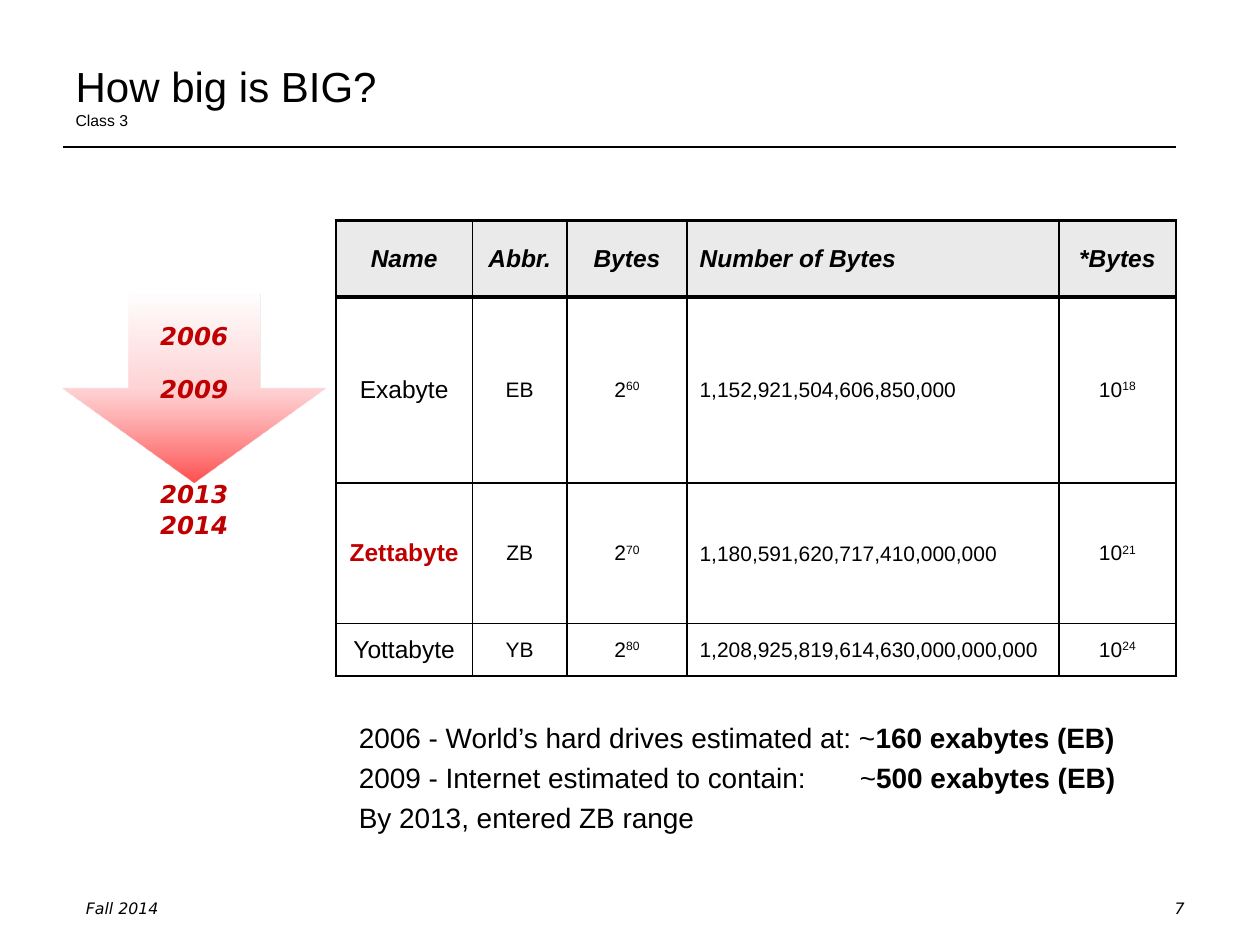
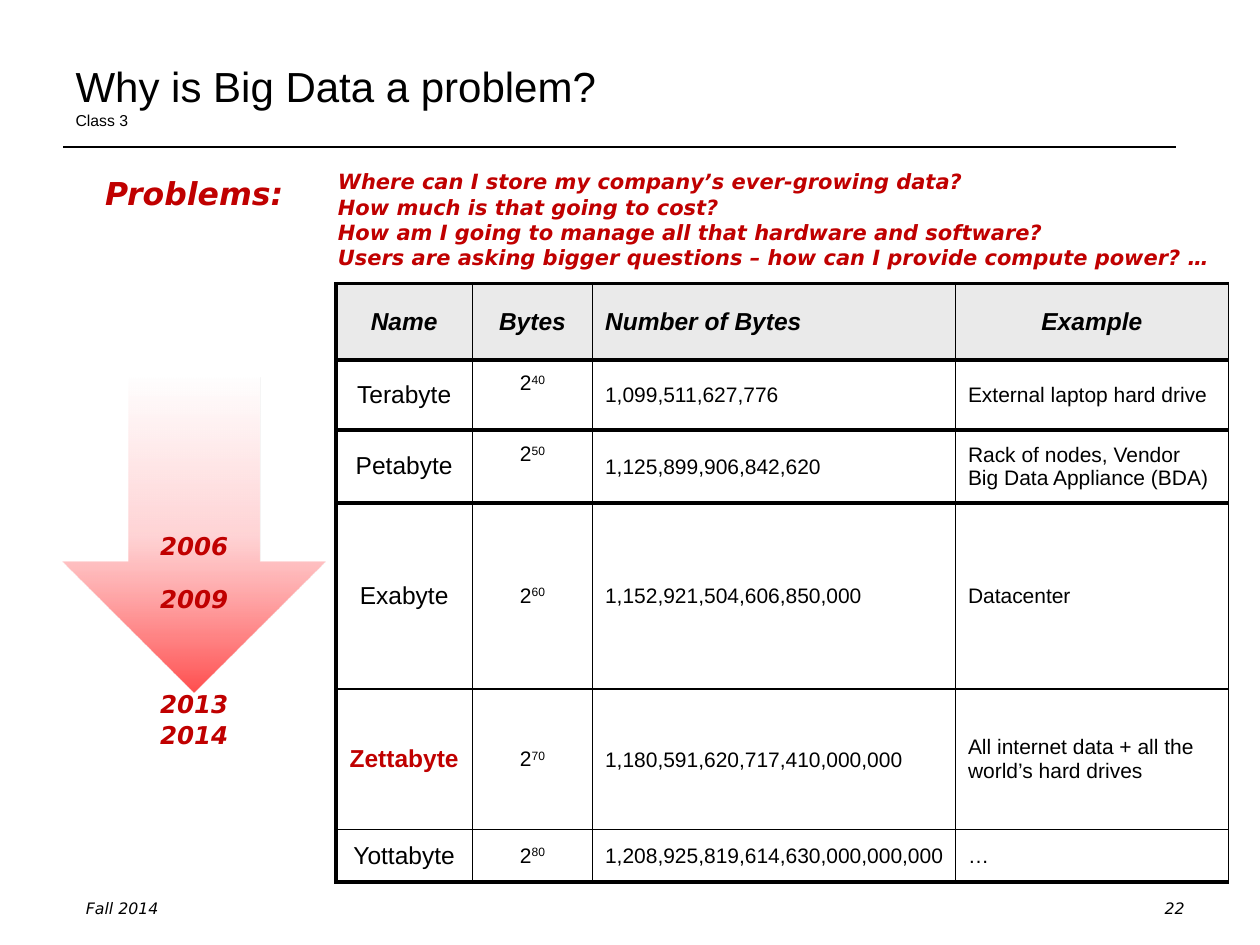
from dataclasses import dataclass

from lxml import etree
from pptx import Presentation
from pptx import util as u
from pptx.dml.color import RGBColor
from pptx.enum import shapes, text
from pptx.oxml import ns, parse_xml

Pt = u.Pt
LEFT, CENTER, RIGHT = text.PP_ALIGN.LEFT, text.PP_ALIGN.CENTER, text.PP_ALIGN.RIGHT
MIDDLE, BOTTOM = text.MSO_ANCHOR.MIDDLE, text.MSO_ANCHOR.BOTTOM


# Colours and type sizes
@dataclass(frozen=True)
class Theme:
    ink: str = "000000"
    accent: str = "C00000"
    paper: str = "FFFFFF"
    header: str = "EAEAEA"
    sans: str = "Arial"
    slant: str = "DejaVu Sans"
    # position %, colour, opacity %, from the arrow's tip upwards
    arrow: tuple = ((0, "FF0000", 69), (50, "FFB0B3", 54), (100, "FFFFFF", 55))

    def plain(self, size, **extra):
        return {"name": self.sans, "size": Pt(size), "bold": False,
                "italic": False, "color": self.ink, **extra}

    def callout(self, size, **extra):
        return {"name": self.slant, "size": Pt(size), "bold": True,
                "italic": True, "color": self.accent, **extra}


T = Theme()
TITLE, SUBTITLE, NOTE = T.plain(24), T.plain(9), T.plain(16)
FOOTER = T.callout(9, bold=False, color=T.ink)
HEAD = T.plain(14, bold=True, italic=True)
NAME, KEY_NAME = T.plain(14), T.plain(14, bold=True, color=T.accent)
VALUE = T.plain(12)
THIN, FRAME, HEAVY = 1, 1.5, 2.25


# Helpers
def set_all(obj, values):
    for key, value in values.items():
        setattr(obj, key, value)


def add_run(p, words, fmt, superscript=False):
    r = p.add_run()
    r.text = words
    set_all(r.font, {k: v for k, v in fmt.items() if k != "color"})
    r.font.color.rgb = RGBColor.from_string(fmt["color"])
    if superscript:
        r._r.get_or_add_rPr().set("baseline", "30000")


def write(tf, lines, align=LEFT, gap=0):
    """Each line is a list of (words, format) runs."""
    for i, runs in enumerate(lines):
        p = tf.add_paragraph() if i else tf.paragraphs[0]
        p.alignment = align
        p.space_before = Pt(gap if i else 0)
        for words, fmt in runs:
            add_run(p, words, fmt)
    return tf


def add_text(s, box, lines, align=LEFT, gap=0):
    tf = s.shapes.add_textbox(*map(Pt, box)).text_frame
    tf.word_wrap = True
    return write(tf, lines, align, gap)


def add_tab_stop(p, position):
    tabs = etree.SubElement(p._p.get_or_add_pPr(), ns.qn("a:tabLst"))
    etree.SubElement(tabs, ns.qn("a:tab"), pos=str(Pt(position)), algn="l")


def set_borders(cell, weights):
    tcPr = cell._tc.get_or_add_tcPr()
    for side, weight in zip("LRTB", weights):
        tcPr.append(parse_xml(
            f'<a:ln{side} {ns.nsdecls("a")} w="{Pt(weight)}"><a:solidFill>'
            f'<a:srgbClr val="{T.ink}"/></a:solidFill></a:ln{side}>'))


# Title, rule and footer
def base_slide(prs, title, number):
    s = prs.slides.add_slide(prs.slide_layouts[5])
    sp = s.shapes.title
    set_all(sp, dict(left=Pt(36), top=Pt(21.6), width=Pt(648), height=Pt(56)))
    tf = sp.text_frame
    set_all(tf, dict(vertical_anchor=BOTTOM, word_wrap=True,
                     auto_size=text.MSO_AUTO_SIZE.NONE))
    write(tf, [[(title, TITLE)], [("Class 3", SUBTITLE)]])

    rule = s.shapes.add_connector(shapes.MSO_CONNECTOR.STRAIGHT,
                                  *map(Pt, (36, 84, 672, 84)))
    rule.line.width = Pt(1.5)
    rule.line.color.rgb = RGBColor.from_string(T.ink)
    etree.SubElement(rule._element.spPr, ns.qn("a:effectLst"))

    add_text(s, (42, 510, 162, 18), [[("Fall 2014", FOOTER)]])
    add_text(s, (516, 510, 168, 18), [[(str(number), FOOTER)]], RIGHT)
    return s


# Arrow with the years that run down to its tip
def timeline(s, box):
    left, top, width, height = box
    sp = s.shapes.add_shape(shapes.MSO_SHAPE.DOWN_ARROW, *map(Pt, box))
    sp.shadow.inherit = False
    sp.line.fill.background()
    stops = "".join(
        f'<a:gs pos="{pos * 1000}"><a:srgbClr val="{color}">'
        f'<a:alpha val="{alpha * 1000}"/></a:srgbClr></a:gs>'
        for pos, color, alpha in T.arrow)
    sp._element.spPr.find(ns.qn("a:prstGeom")).addnext(parse_xml(
        f'<a:gradFill {ns.nsdecls("a")} rotWithShape="1"><a:gsLst>{stops}'
        '</a:gsLst><a:lin ang="16200000" scaled="0"/></a:gradFill>'))

    tip, label_width = top + height, 78
    for year, offset in ((2006, -96), (2009, -66), (2013, -6), (2014, 12)):
        add_text(s, (left + (width - label_width) / 2, tip + offset, label_width, 24.5),
                 [[(str(year), T.callout(14))]], CENTER)


# Table of byte units
@dataclass(frozen=True)
class Column:
    head: str
    width: float
    head_align: object = CENTER
    align: object = CENTER


def number_column(width):
    return Column("Number of Bytes", width, LEFT, LEFT)


def size_table(s, left, top, columns, rows, frame, right, heavy_rows, raised=()):
    """rows holds (height, cells); heavy_rows have a thick line below."""
    heights = [43.7] + [height for height, _ in rows]
    cells = [[c.head for c in columns]] + [values for _, values in rows]
    table = s.shapes.add_table(
        len(cells), len(columns), Pt(left), Pt(top),
        Pt(sum(c.width for c in columns)), Pt(sum(heights))).table
    set_all(table, dict(first_row=False, horz_banding=False))
    for column, spec in zip(table.columns, columns):
        column.width = Pt(spec.width)
    for row, height in zip(table.rows, heights):
        row.height = Pt(height)

    last_row, last_col = len(cells) - 1, len(columns) - 1
    # Weight of each horizontal and vertical line
    across = [frame] + [HEAVY if i in heavy_rows else THIN for i in range(last_row)] + [frame]
    down = [frame] + [THIN] * last_col + [right]

    for i, values in enumerate(cells):
        for j, (value, column) in enumerate(zip(values, columns)):
            cell = table.cell(i, j)
            set_borders(cell, (down[j], down[j + 1], across[i], across[i + 1]))
            cell.fill.solid()
            cell.fill.fore_color.rgb = RGBColor.from_string(T.paper if i else T.header)
            cell.vertical_anchor = MIDDLE
            if i and column.head == "Number of Bytes":
                set_all(cell, dict(margin_top=Pt(0.72), margin_right=Pt(0.72),
                                   margin_bottom=0))
            if i in raised and column.head == "Bytes":
                cell.margin_bottom = Pt(17.3)
            if i == 0:
                fmt = HEAD
            elif j == 0:
                fmt = KEY_NAME if value == "Zettabyte" else NAME
            else:
                fmt = VALUE
            p = cell.text_frame.paragraphs[0]
            p.alignment = column.align if i else column.head_align
            base, _, power = value.partition("^")
            add_run(p, base, fmt)
            if power:
                add_run(p, power, fmt, superscript=True)


# Units on both slides: height, name, abbreviation, bytes, number, decimal
LARGE_UNITS = (
    (106.3, "Exabyte", "EB", "2^60", "1,152,921,504,606,850,000", "10^18"),
    (80.3, "Zettabyte", "ZB", "2^70", "1,180,591,620,717,410,000,000", "10^21"),
    (30, "Yottabyte", "YB", "2^80", "1,208,925,819,614,630,000,000,000", "10^24"),
)
NAME_COL, BYTES_COL = Column("Name", 78), Column("Bytes", 68.6)


def how_big_slide(prs):
    s = base_slide(prs, "How big is BIG?", 7)
    size_table(
        s, 192, 126,
        [NAME_COL, Column("Abbr.", 54), BYTES_COL, number_column(212.5),
         Column("*Bytes", 66.9)],
        [(height, values) for height, *values in LARGE_UNITS],
        frame=FRAME, right=FRAME, heavy_rows={0})
    timeline(s, (36, 168, 150, 108))

    # Estimates, with the amounts lined up at a tab stop
    strong = {**NOTE, "bold": True}
    tf = add_text(s, (198, 408, 510, 102), [
        [("2006 - World’s hard drives estimated at: ~", NOTE), ("160 exabytes (EB)", strong)],
        [("2009 - Internet estimated to contain:\t~", NOTE), ("500 exabytes (EB)", strong)],
        [("By 2013, entered ZB range", NOTE)],
    ], gap=3.8)
    add_tab_stop(tf.paragraphs[1], 286.3)


def problem_slide(prs):
    s = base_slide(prs, "Why is Big Data a problem?", 22)
    examples = ("Datacenter", "All internet data + all the world’s hard drives", "…")
    rows = [
        (40, ("Terabyte", "2^40", "1,099,511,627,776", "External laptop hard drive")),
        (41.7, ("Petabyte", "2^50", "1,125,899,906,842,620",
                "Rack of nodes, Vendor Big Data Appliance (BDA)")),
    ] + [(height, (name, size, number, example))
         for (height, name, _, size, number, _), example in zip(LARGE_UNITS, examples)]
    size_table(
        s, 192, 162,
        [NAME_COL, BYTES_COL, number_column(207.4), Column("Example", 156, CENTER, LEFT)],
        rows, frame=HEAVY, right=THIN, heavy_rows={0, 1, 2}, raised={1, 2})
    timeline(s, (36, 216, 150, 180))

    # Problems
    questions = (
        "Where can I store my company’s ever-growing data?",
        "How much is that going to cost?",
        "How am I going to manage all that hardware and software?",
        "Users are asking bigger questions – how can I provide compute power? …",
    )
    add_text(s, (186, 93, 522, 65.5), [[(q, T.callout(12))] for q in questions])
    add_text(s, (36, 96, 150, 29), [[("Problems:", T.callout(18))]], CENTER)


def main():
    prs = Presentation()
    set_all(prs, dict(slide_width=Pt(720), slide_height=Pt(540)))
    how_big_slide(prs)
    problem_slide(prs)
    prs.save("out.pptx")


if __name__ == "__main__":
    main()
